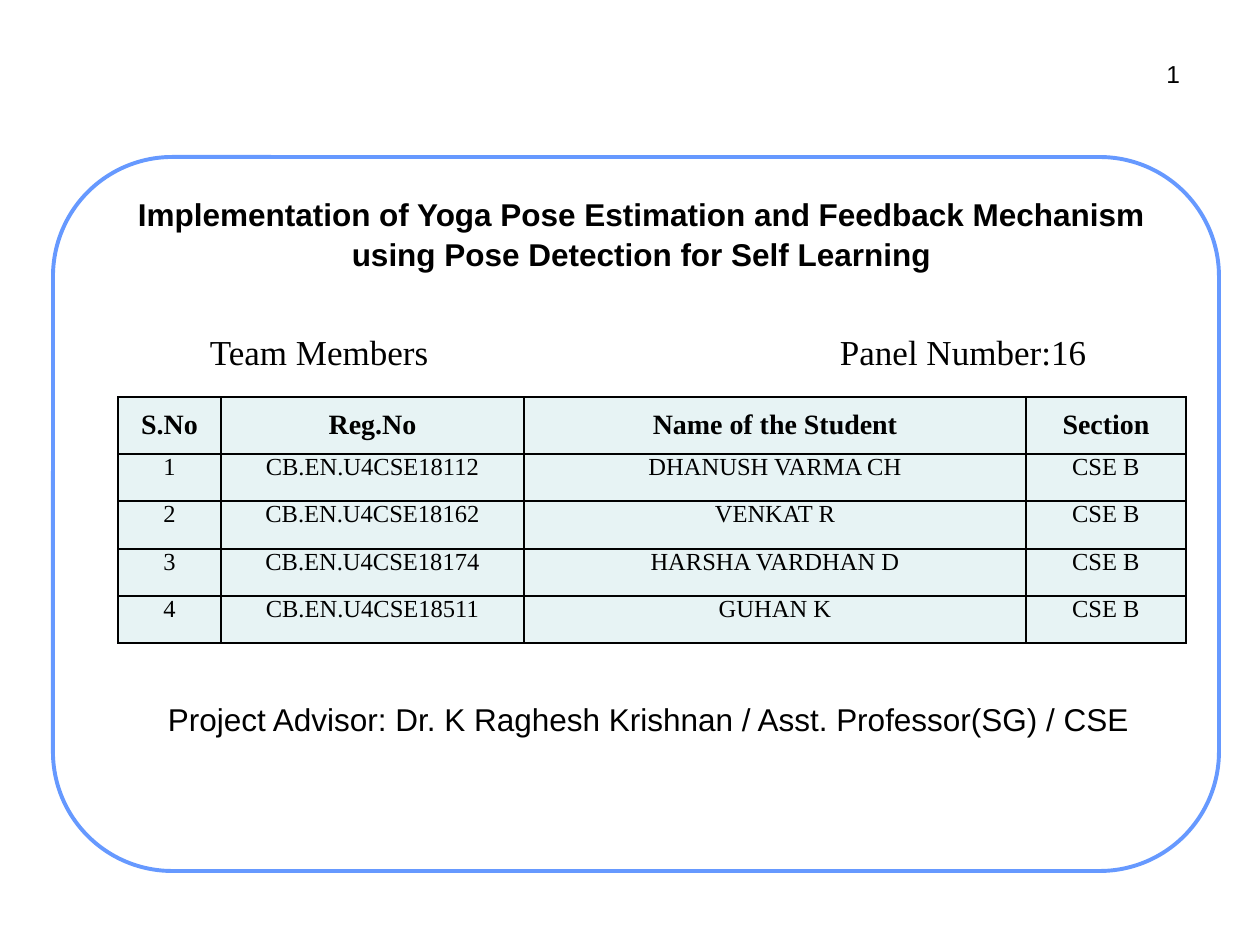
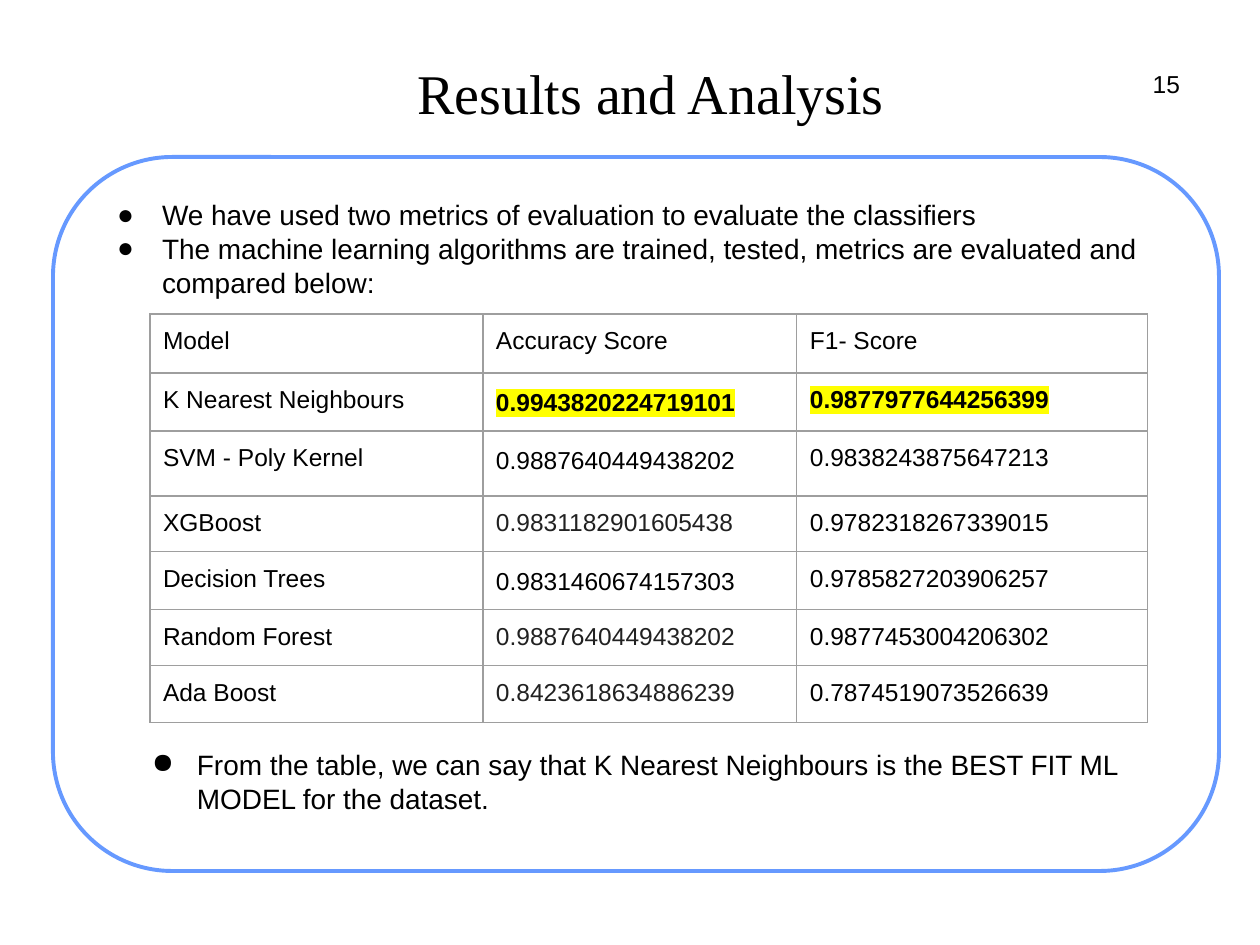
from lxml.etree import SubElement
from pptx import Presentation
from pptx.dml.color import RGBColor
from pptx.enum.shapes import MSO_SHAPE
from pptx.enum.text import MSO_ANCHOR, MSO_AUTO_SIZE, PP_ALIGN
from pptx.oxml import parse_xml
from pptx.oxml.ns import nsdecls, qn
from pptx.util import Emu, Pt

PIXELS_PER_INCH = 126
BLACK = "000000"
GRAPHITE = "212121"
WHITE = "FFFFFF"
FRAME_BLUE = "6699FF"
TABLE_TINT = "E7F3F4"
GRID_GREY = "9E9E9E"
MARKER_YELLOW = "FFFF00"
SANS = "Arial"
SERIF = "Times New Roman"

STUDENTS = [
    ("S.No", "Reg.No", "Name of the Student", "Section"),
    ("1", "CB.EN.U4CSE18112", "DHANUSH VARMA CH", "CSE B"),
    ("2", "CB.EN.U4CSE18162", "VENKAT R", "CSE B"),
    ("3", "CB.EN.U4CSE18174", "HARSHA VARDHAN D", "CSE B"),
    ("4", "CB.EN.U4CSE18511", "GUHAN K", "CSE B"),
]
SCORES = [
    ("Model", "Accuracy Score", "F1- Score"),
    ("K Nearest Neighbours", "0.9943820224719101", "0.9877977644256399"),
    ("SVM - Poly Kernel", "0.9887640449438202", "0.9838243875647213"),
    ("XGBoost", "0.9831182901605438", "0.9782318267339015"),
    ("Decision Trees", "0.9831460674157303", "0.9785827203906257"),
    ("Random Forest", "0.9887640449438202", "0.9877453004206302"),
    ("Ada Boost", "0.8423618634886239", "0.7874519073526639"),
]
BEST_MODEL_ROW = 1
LOOSE_ROWS = (1, 2, 4)
GREY_ROWS = (3, 5, 6)


def px(length):
    return Emu(round(length * 914400 / PIXELS_PER_INCH))


def color(value):
    return RGBColor.from_string(value)


def place(shape, left, top, width, height):
    shape.left, shape.top = px(left), px(top)
    shape.width, shape.height = px(width), px(height)


def add_bullet(para):
    properties = para._p.get_or_add_pPr()
    properties.set("marL", str(px(63)))
    properties.set("indent", str(-px(45)))
    tint = SubElement(properties, qn("a:buClr"))
    SubElement(tint, qn("a:srgbClr")).set("val", BLACK)
    SubElement(properties, qn("a:buChar")).set("char", "●")


def add_tab(para, position):
    tabs = SubElement(para._p.get_or_add_pPr(), qn("a:tabLst"))
    stop = SubElement(tabs, qn("a:tab"))
    stop.set("pos", str(px(position)))
    stop.set("algn", "l")


def add_highlight(span, value):
    marker = parse_xml(
        f'<a:highlight {nsdecls("a")}><a:srgbClr val="{value}"/></a:highlight>'
    )
    span._r.rPr.find(qn("a:solidFill")).addnext(marker)


def write(frame, text, size=14, font=SANS, tint=BLACK, bold=False,
          align=PP_ALIGN.LEFT, spacing=1.0, bullet=False, tab=None, highlight=None):
    for index, line in enumerate(text.split("\n")):
        para = frame.add_paragraph() if index else frame.paragraphs[0]
        if bullet:
            add_bullet(para)
        if tab:
            add_tab(para, tab)
        para.alignment = align
        para.line_spacing = spacing
        para.space_before = Pt(0)
        span = para.add_run()
        span.text = line
        span.font.size = Pt(size)
        span.font.name = font
        span.font.bold = bold
        span.font.color.rgb = color(tint)
        if highlight:
            add_highlight(span, highlight)


def fill_box(box, bounds, text, inset=6, anchor=MSO_ANCHOR.TOP, **style):
    place(box, *bounds)
    frame = box.text_frame
    frame.word_wrap = True
    frame.auto_size = MSO_AUTO_SIZE.NONE
    frame.vertical_anchor = anchor
    frame.margin_left = frame.margin_right = px(inset)
    frame.margin_top = frame.margin_bottom = px(inset)
    write(frame, text, **style)


def add_text(page, bounds, text, **style):
    box = page.shapes.add_textbox(0, 0, 0, 0)
    fill_box(box, bounds, text, **style)


def set_title(page, bounds, text, **style):
    fill_box(page.shapes.title, bounds, text, anchor=MSO_ANCHOR.MIDDLE,
             align=PP_ALIGN.CENTER, **style)


def add_page_number(page, number, top):
    add_text(page, (1126, top, 60, 44), number, align=PP_ALIGN.RIGHT)


def add_master_frame(deck, page):
    outline = page.shapes.add_shape(MSO_SHAPE.ROUNDED_RECTANGLE, 0, 0, 0, 0)
    place(outline, 53, 157, 1166, 714)
    outline.adjustments[0] = 0.167
    outline.shadow.inherit = False
    outline.fill.solid()
    outline.fill.fore_color.rgb = color(WHITE)
    outline.line.color.rgb = color(FRAME_BLUE)
    outline.line.width = Pt(2.25)
    outline.element.nvSpPr.cNvPr.set("id", "20")
    deck.slide_master.shapes.element.insert(2, outline.element)


def set_borders(cell, tint, width):
    properties = cell._tc.get_or_add_tcPr()
    for index, side in enumerate(("lnL", "lnR", "lnT", "lnB")):
        border = parse_xml(
            f'<a:{side} {nsdecls("a")} w="{Pt(width)}"><a:solidFill>'
            f'<a:srgbClr val="{tint}"/></a:solidFill></a:{side}>'
        )
        properties.insert(index, border)


def add_grid(page, left, top, widths, heights, rows, style_for,
             border, border_width, inset=0, fill=None):
    holder = page.shapes.add_table(
        len(rows), len(widths), px(left), px(top), px(sum(widths)), px(sum(heights)))
    table = holder.table
    table.first_row = table.horz_banding = False
    for column, width in zip(table.columns, widths):
        column.width = px(width)
    for row_index, (row, height) in enumerate(zip(rows, heights)):
        table.rows[row_index].height = px(height)
        for column_index, text in enumerate(row):
            cell = table.cell(row_index, column_index)
            cell.margin_left = cell.margin_right = px(inset)
            cell.margin_top = cell.margin_bottom = px(inset)
            if fill:
                cell.fill.solid()
                cell.fill.fore_color.rgb = color(fill)
                if row_index == 0:
                    cell.vertical_anchor = MSO_ANCHOR.MIDDLE
            else:
                cell.fill.background()
            set_borders(cell, border, border_width)
            write(cell.text_frame, text, **style_for(row_index, column_index))


def student_style(row, column):
    header = row == 0
    return dict(size=16 if header else 14, bold=header, font=SERIF,
                align=PP_ALIGN.CENTER)


def score_style(row, column):
    best = row == BEST_MODEL_ROW and column > 0
    accuracy = column == 1
    return dict(
        bold=best,
        highlight=MARKER_YELLOW if best else None,
        spacing=1.11 if accuracy and row in LOOSE_ROWS else 1.0,
        tint=GRAPHITE if accuracy and row in GREY_ROWS else BLACK,
    )


def build_team_page(page):
    set_title(page, (111, 170, 1061, 126),
              "Implementation of Yoga Pose Estimation and Feedback Mechanism "
              "using Pose Detection for Self Learning",
              size=18, bold=True, spacing=1.05)
    add_page_number(page, "1", 53)
    add_text(page, (204, 325, 960, 52), "Team Members\tPanel Number:16",
             size=20, font=SERIF, tab=630)
    add_grid(page, 118, 397, (103, 303, 502, 160), (57, 47, 48, 47, 47), STUDENTS,
             student_style, BLACK, 1, fill=TABLE_TINT)
    add_text(page, (86, 694, 1125, 48),
             "Project Advisor: Dr. K Raghesh Krishnan / Asst. Professor(SG) / CSE",
             size=18, align=PP_ALIGN.CENTER)


def build_results_page(page):
    set_title(page, (84, 29, 1134, 126), "Results and Analysis", size=32, font=SERIF)
    add_page_number(page, "15", 63)
    fill_box(page.placeholders[1], (86, 185, 1126, 125),
             "We have used two metrics of evaluation to evaluate the classifiers\n"
             "The machine learning algorithms are trained, tested, metrics are "
             "evaluated and compared below:",
             inset=13, size=16, bullet=True)
    add_grid(page, 150, 314, (333, 314, 351), (59, 58, 65, 56, 58, 56, 57), SCORES,
             score_style, GRID_GREY, 0.75, inset=13)
    add_text(page, (121, 735, 1056, 93),
             "From the table, we can say that K Nearest Neighbours is the BEST FIT "
             "ML MODEL for the dataset.",
             inset=13, size=16, bullet=True)


def main():
    deck = Presentation()
    deck.slide_width, deck.slide_height = px(1260), px(945)
    team_page = deck.slides.add_slide(deck.slide_layouts[5])
    results_page = deck.slides.add_slide(deck.slide_layouts[1])
    add_master_frame(deck, team_page)
    build_team_page(team_page)
    build_results_page(results_page)
    deck.save("out.pptx")


if __name__ == "__main__":
    main()
